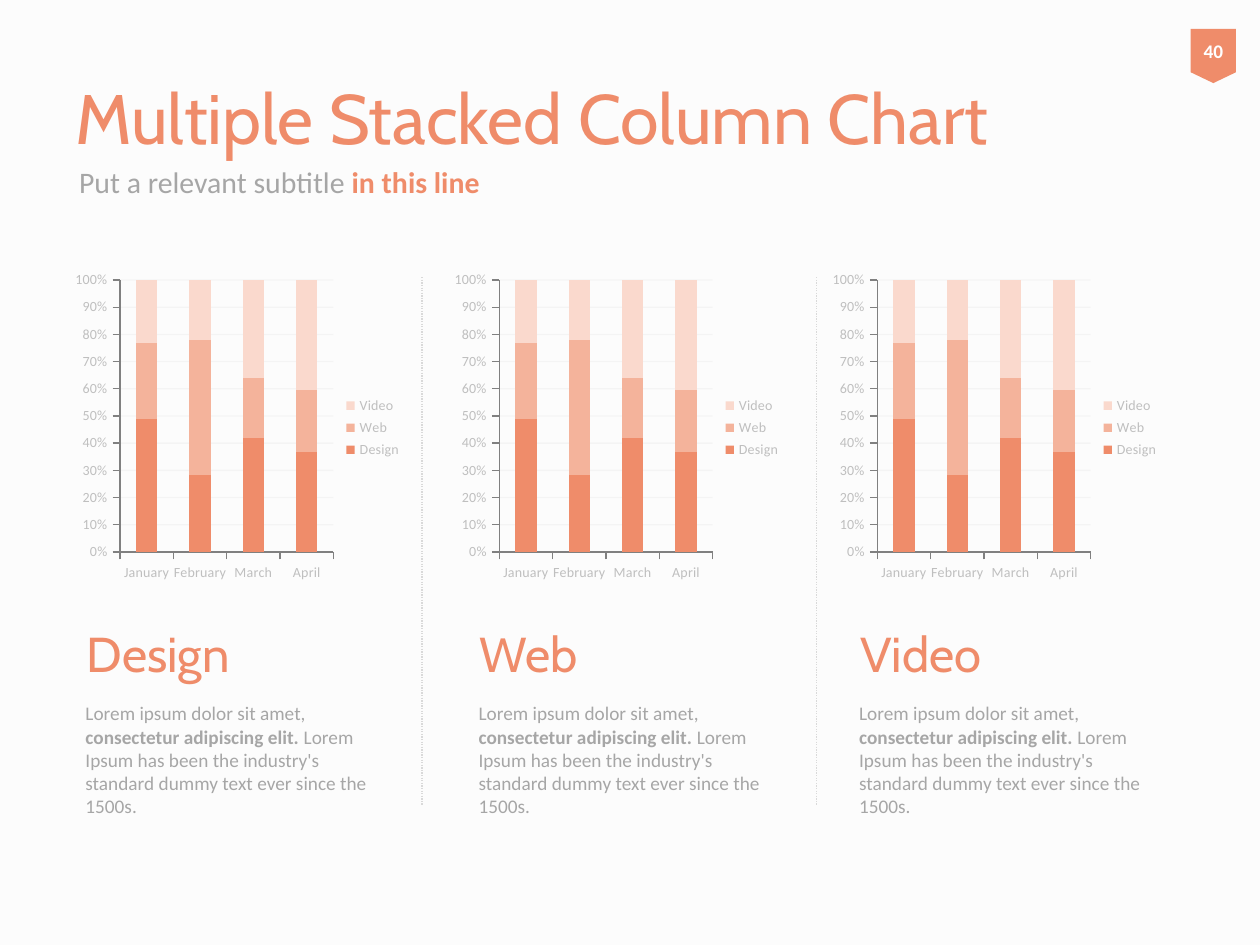
from dataclasses import dataclass

from lxml.etree import SubElement
from pptx import Presentation
from pptx.chart.data import CategoryChartData
from pptx.dml.color import RGBColor
from pptx.enum.chart import XL_CHART_TYPE as Kind, XL_LEGEND_POSITION as Place
from pptx.enum.dml import MSO_LINE as Dash
from pptx.enum.shapes import MSO_CONNECTOR as Link, MSO_SHAPE as Form
from pptx.enum.text import MSO_ANCHOR as Anchor, PP_ALIGN as Align
from pptx.oxml import parse_xml
from pptx.oxml.ns import nsdecls, qn
from pptx.util import Inches, Pt


@dataclass(frozen=True)
class Theme:
    back: str = "FCFCFC"
    main: str = "EF8C6A"
    mid: str = "F4B39B"
    pale: str = "FAD9CD"
    text: str = "A6A6A6"
    label: str = "BFBFBF"
    rule: str = "D9D9D9"
    axis: str = "808080"
    white: str = "FFFFFF"
    head: str = "Cabin"
    body: str = "Calibri"
    title: int = 40
    topic: int = 28
    sub: int = 17
    copy: int = 11
    tick: int = 8


T = Theme()
MONTHS = ["January", "February", "March", "April"]
SERIES = [
    ("Design", [49, 28, 42, 37], T.main),
    ("Web", [28, 49, 22, 23], T.mid),
    ("Video", [23, 22, 36, 41], T.pale),
]
COPY = [
    ("Lorem ipsum dolor sit amet, ", T.text, False),
    ("consectetur adipiscing elit. ", T.text, True),
    ("Lorem Ipsum has been the industry's standard dummy text "
     "ever since the 1500s.", T.text, False),
]
# topic, chart left, text left
COLUMNS = [("Design", 0.55, 0.58), ("Web", 3.56, 3.7), ("Video", 6.56, 6.72)]
RULES = [3.35, 6.48]
# inner plot area as shares of the chart frame
PLOT = {"x": 0.147, "y": 0.044, "w": 0.618, "h": 0.84}


def rgb(code):
    return RGBColor.from_string(code)


def style(font, **values):
    for name, value in values.items():
        if name == "color":
            font.color.rgb = rgb(value)
        else:
            setattr(font, name, value)


def write(frame, runs, face, size):
    """Put (text, colour, bold) runs in the first paragraph."""
    para = frame.paragraphs[0]
    for words, color, bold in runs:
        run = para.add_run()
        run.text = words
        style(run.font, name=face, size=Pt(size), color=color, bold=bold)
    return para


def add_text(slide, box, runs, face, size, anchor=Anchor.MIDDLE):
    frame = slide.shapes.add_textbox(*map(Inches, box)).text_frame
    frame.word_wrap = True
    frame.vertical_anchor = anchor
    return write(frame, runs, face, size)


def add_rule(slide, x):
    line = slide.shapes.add_connector(
        Link.STRAIGHT, Inches(x), Inches(2.2), Inches(x), Inches(6.39))
    line.line.color.rgb = rgb(T.rule)
    line.line.width = Pt(0.75)
    line.line.dash_style = Dash.ROUND_DOT
    SubElement(line._element.spPr, qn("a:effectLst"))


def add_badge(slide, number):
    box = map(Inches, (9.45, 0.23, 0.36, 0.43))
    badge = slide.shapes.add_shape(Form.FLOWCHART_OFFPAGE_CONNECTOR, *box)
    badge.shadow.inherit = False
    badge.fill.solid()
    badge.fill.fore_color.rgb = rgb(T.main)
    badge.line.fill.background()
    frame = badge.text_frame
    for side in ("left", "right", "top", "bottom"):
        setattr(frame, f"margin_{side}", 0)
    frame.vertical_anchor = Anchor.MIDDLE
    para = write(frame, [(number, T.white, True)], T.body, T.copy)
    para.alignment = Align.CENTER


def set_plot(chart):
    """Fix the inner plot area in the chart frame."""
    area = chart._chartSpace.chart.plotArea
    for old in area.findall(qn("c:layout")):
        area.remove(old)
    sizes = "".join(f'<c:{key} val="{val}"/>' for key, val in PLOT.items())
    area.insert(0, parse_xml(
        f'<c:layout {nsdecls("c")}><c:manualLayout>'
        '<c:layoutTarget val="inner"/>'
        '<c:xMode val="edge"/><c:yMode val="edge"/>'
        f'{sizes}</c:manualLayout></c:layout>'))


def add_chart(slide, left):
    data = CategoryChartData()
    data.categories = MONTHS
    for name, values, _ in SERIES:
        data.add_series(name, values)
    box = map(Inches, (left, 2.11, 2.74, 2.57))
    chart = slide.shapes.add_chart(
        Kind.COLUMN_STACKED_100, *box, data).chart
    chart.has_title = False
    style(chart.font, name=T.body, size=Pt(T.tick), color=T.label)
    chart.has_legend = True
    chart.legend.position = Place.RIGHT
    chart.legend.include_in_layout = False

    plot = chart.plots[0]
    plot.gap_width, plot.overlap = 150, 100
    plot.vary_by_categories = False
    for series, (_, _, color) in zip(plot.series, SERIES):
        series.format.fill.solid()
        series.format.fill.fore_color.rgb = rgb(color)

    value = chart.value_axis
    value.tick_labels.number_format = "0%"
    value.tick_labels.number_format_is_linked = False
    value.has_major_gridlines = True
    grid = value.major_gridlines.format.line
    for line in (grid, value.format.line, chart.category_axis.format.line):
        line.color.rgb = rgb(T.axis)
        line.width = Pt(0.75)
    tint = value.major_gridlines._xAx.find(
        f'{qn("c:majorGridlines")}//{qn("a:srgbClr")}')
    SubElement(tint, qn("a:alpha"), val="6000")
    set_plot(chart)


def add_column(slide, topic, left, edge):
    add_chart(slide, left)
    add_text(slide, (edge + 0.01, 4.79, 2.52, 0.78),
             [(topic, T.main, False)], T.head, T.topic)
    para = add_text(slide, (edge, 5.52, 2.6, 1.06), COPY, T.body, T.copy,
                    Anchor.TOP)
    para.space_before = Pt(2.2)


def main():
    deck = Presentation()
    deck.slide_width, deck.slide_height = Inches(10), Inches(7.5)
    slide = deck.slides.add_slide(deck.slide_layouts[6])
    slide.background.fill.solid()
    slide.background.fill.fore_color.rgb = rgb(T.back)

    add_text(slide, (0.5, 0.3, 9.5, 1.25),
             [("Multiple Stacked Column Chart", T.main, False)],
             T.head, T.title)
    add_text(slide, (0.53, 1.18, 9, 0.53),
             [("Put a relevant subtitle ", T.text, False),
              ("in this line", T.main, True)], T.body, T.sub)
    for column in COLUMNS:
        add_column(slide, *column)
    for x in RULES:
        add_rule(slide, x)
    add_badge(slide, "40")
    deck.save("out.pptx")


if __name__ == "__main__":
    main()
